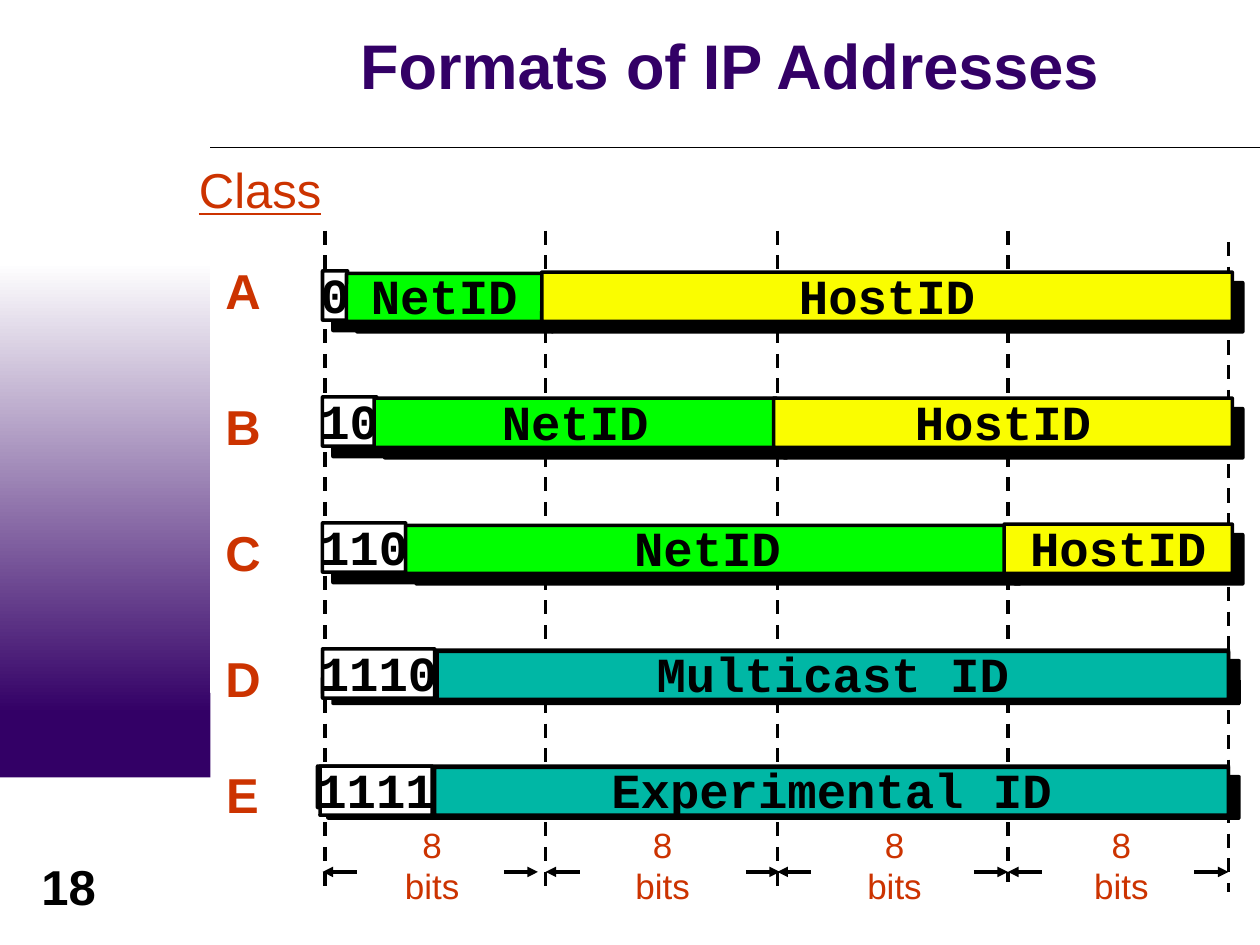
import pptx
import pptx.dml.color
import pptx.enum.dml
import pptx.enum.shapes
import pptx.enum.text
import pptx.oxml.ns
import pptx.util
from lxml import etree

Inches = pptx.util.Inches
Pt = pptx.util.Pt
qn = pptx.oxml.ns.qn
Shape = pptx.enum.shapes.MSO_SHAPE
Anchor = pptx.enum.text.MSO_ANCHOR

COLORS = {
    "ink": "000000", "paper": "FFFFFF", "purple": "330066", "rust": "CC3300",
    "prefix": "FFFFFF", "net": "00FF00", "host": "FAFD00", "special": "00B7A5",
}
FORMATS = {
    "title": {"name": "Arial", "size": Pt(36), "bold": True},
    "number": {"name": "Arial", "size": Pt(28), "bold": True},
    "heading": {"name": "Arial", "size": Pt(28), "underline": True},
    "letter": {"name": "Arial", "size": Pt(28), "bold": True},
    "field": {"name": "Courier New", "size": Pt(28), "bold": True},
    "bits": {"name": "Arial", "size": Pt(20)},
}
CHAR_WIDTH = 0.233


def rgb(color):
    return pptx.dml.color.RGBColor.from_string(COLORS[color])


class AddressSlide:
    def __init__(self, slide):
        self.slide = slide

    def text(self, words, box, style, color, anchor=Anchor.TOP, wrap=False, spacing=0.96, into=None):
        shapes = into or self.slide.shapes
        frame = shapes.add_textbox(*map(Inches, box)).text_frame
        layout = {
            "word_wrap": wrap, "vertical_anchor": anchor,
            "margin_left": Inches(0.1), "margin_right": Inches(0.1),
            "margin_top": Inches(0.05), "margin_bottom": Inches(0.05),
        }
        for key, value in layout.items():
            setattr(frame, key, value)
        paragraph = frame.paragraphs[0]
        paragraph.alignment = pptx.enum.text.PP_ALIGN.CENTER
        paragraph.line_spacing = spacing
        run = paragraph.add_run()
        run.text = words
        for key, value in FORMATS[style].items():
            setattr(run.font, key, value)
        run.font.color.rgb = rgb(color)

    def panel(self, box, colors):
        panel = self.slide.shapes.add_shape(Shape.RECTANGLE, *map(Inches, box))
        panel.shadow.inherit = False
        panel.line.fill.background()
        if len(colors) == 1:
            panel.fill.solid()
            panel.fill.fore_color.rgb = rgb(colors[0])
            return
        panel.fill.gradient()
        panel.fill.gradient_angle = 270
        for stop, color in zip(panel.fill.gradient_stops, colors):
            stop.color.rgb = rgb(color)

    def bar(self, box, color, shadow=True, into=None):
        shapes = into or self.slide.shapes
        bar = shapes.add_shape(Shape.ROUNDED_RECTANGLE, *map(Inches, box))
        bar.adjustments[0] = 0.004
        bar.fill.solid()
        bar.fill.fore_color.rgb = rgb(color)
        bar.line.color.rgb = rgb("ink")
        bar.line.width = Pt(2)
        bar.shadow.inherit = False
        if shadow:
            effects = bar.element.spPr.find(qn("a:effectLst"))
            cast = etree.SubElement(effects, qn("a:outerShdw"), dist=str(Pt(8.5)),
                                    dir="2700000", algn="ctr", rotWithShape="0")
            etree.SubElement(cast, qn("a:srgbClr"), val=COLORS["ink"])

    def field(self, words, box, color, shadow=True):
        group = self.slide.shapes.add_group_shape().shapes
        self.bar(box, color, shadow, group)
        left, top, width, height = box
        label_width = 0.2 + CHAR_WIDTH * len(words)
        label = (left + (width - label_width) / 2, top + height / 2 - 0.27, label_width, 0.55)
        self.text(words, label, "field", "ink", Anchor.MIDDLE, into=group)

    def line(self, start, end, width=2, dashed=False, arrow=None):
        line = self.slide.shapes.add_connector(
            pptx.enum.shapes.MSO_CONNECTOR.STRAIGHT, *map(Inches, start + end))
        line.line.color.rgb = rgb("ink")
        line.line.width = Pt(width)
        if dashed:
            line.line.dash_style = pptx.enum.dml.MSO_LINE.DASH
        properties = line.element.spPr
        if arrow:
            etree.SubElement(properties.find(qn("a:ln")), qn(f"a:{arrow}"), type="triangle")
        etree.SubElement(properties, qn("a:effectLst"))


def main():
    deck = pptx.Presentation()
    deck.slide_width, deck.slide_height = Inches(10), Inches(7.5)
    page = AddressSlide(deck.slides.add_slide(deck.slide_layouts[6]))

    page.panel((0, 5.5, 1.67, 0.67), ["purple"])
    page.panel((0, 2.08, 1.67, 3.58), ["paper", "purple"])
    page.line((1.67, 1.17), (10, 1.17), width=0.75)
    page.text("18", (0.17, 6.75, 0.75, 0.57), "number", "ink", wrap=True, spacing=1.0)
    page.text("Formats of IP Addresses", (1.58, 0, 8.42, 1.08), "title", "purple",
              Anchor.MIDDLE, wrap=True)
    page.text("Class", (1.48, 1.25, 1.17, 0.55), "heading", "rust")

    boundaries = [(2.58, 1.83, 7.08), (4.33, 1.83, 7.08), (6.17, 1.83, 7.08),
                  (8, 1.83, 7), (9.75, 1.92, 7.08)]
    for x, top, bottom in boundaries:
        page.line((x, top), (x, bottom), dashed=True)

    for letter, top in zip("ABCDE", (2.05, 3.13, 4.13, 5.13, 6.05)):
        page.text(letter, (1.69, top, 0.47, 0.55), "letter", "rust")

    right_edge = 9.78
    unicast = [
        ("0", 0.2, 2.75, 1.55, 2.17, 0.38, 4.3),
        ("10", 0.43, 2.97, 3.19, 3.16, 0.39, 6.14),
        ("110", 0.66, 3.22, 4.79, 4.17, 0.38, 7.97),
    ]
    for row, (prefix, prefix_width, net_left, net_width, net_top, net_height, host_left) in enumerate(unicast):
        page.field(prefix, (2.56, 2.15 + row, prefix_width, 0.39), "prefix")
        page.field("NetID", (net_left, net_top, net_width, net_height), "net")
        page.field("HostID", (host_left, 2.16 + row, right_edge - host_left, 0.39), "host")

    special = [
        ("1110", "Multicast ID", (2.56, 5.16, 7.19, 0.34), 2.56, 5.15, 3.47, 5.17),
        ("1111", "Experimental ID", (2.52, 6.08, 7.23, 0.33), 2.54, 6.08, 3.45, 6.09),
    ]
    for prefix, purpose, base, prefix_left, prefix_top, left, top in special:
        page.bar(base, "host")
        page.field(prefix, (prefix_left, prefix_top, 0.89, 0.39), "prefix", shadow=False)
        page.field(purpose, (left, top, 9.75 - left, 0.38), "special", shadow=False)

    arrow_length, arrow_y = 0.27, 6.92
    octets = [(2.56, 3, 4.27), (4.33, 4.83, 6.19), (6.17, 6.67, 8), (8, 8.47, 9.75)]
    for start, label_left, end in octets:
        page.line((start, arrow_y), (start + arrow_length, arrow_y), arrow="headEnd")
        page.text("8 bits", (label_left, 6.67, 0.86, 0.42), "bits", "rust", Anchor.MIDDLE)
        page.line((end - arrow_length, arrow_y), (end, arrow_y), arrow="tailEnd")

    deck.save("out.pptx")


if __name__ == "__main__":
    main()
